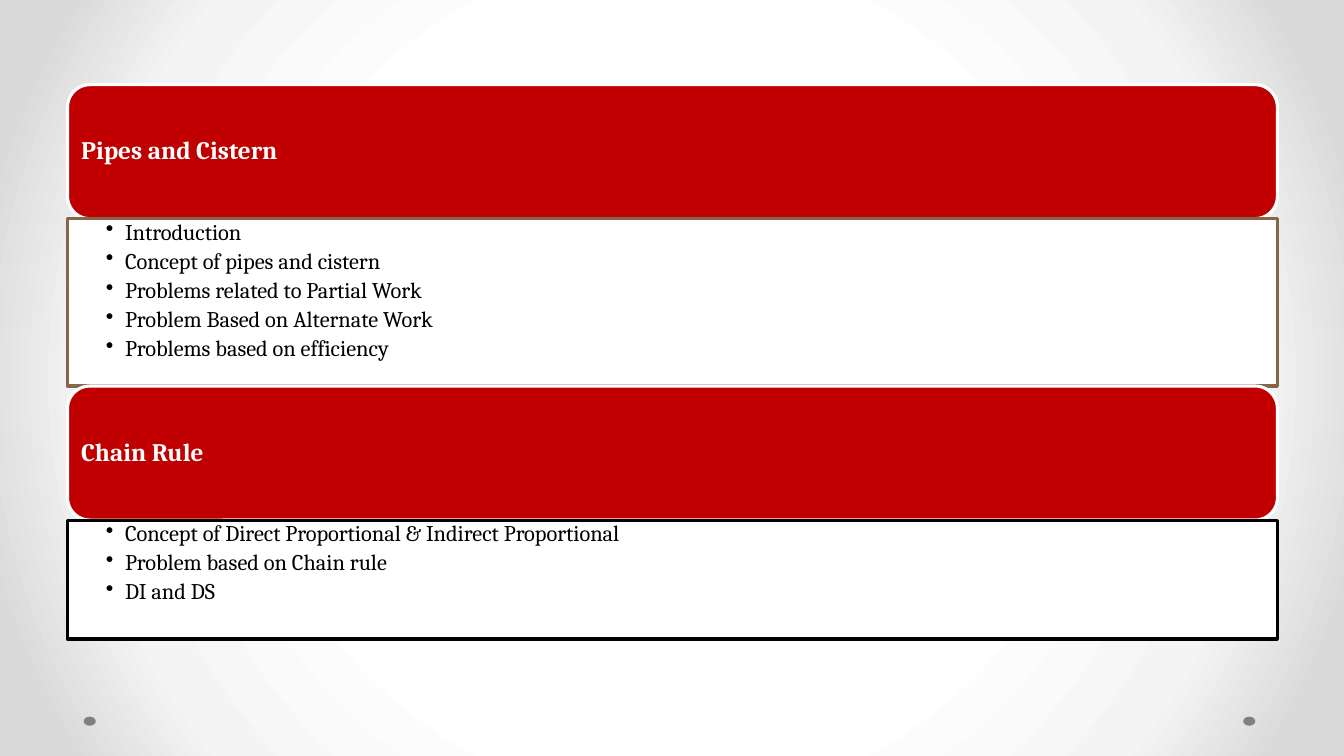
from lxml import etree
from pptx import Presentation
from pptx.dml.color import RGBColor
from pptx.enum.shapes import MSO_SHAPE
from pptx.enum.text import MSO_ANCHOR, PP_ALIGN
from pptx.oxml import parse_xml
from pptx.oxml.ns import nsdecls, qn
from pptx.util import Inches, Pt

RECT, ROUND, OVAL = MSO_SHAPE.RECTANGLE, MSO_SHAPE.ROUNDED_RECTANGLE, MSO_SHAPE.OVAL
TOP, MIDDLE = MSO_ANCHOR.TOP, MSO_ANCHOR.MIDDLE
LEFT, WIDTH, HEAD_H = 0.67, 12, 1.33

prs = Presentation()
prs.slide_width, prs.slide_height = Inches(13.33), Inches(7.5)
s = prs.slides.add_slide(prs.slide_layouts[6])


def add_box(kind, x, y, w, h, fill, line=None):
    sp = s.shapes.add_shape(kind, Inches(x), Inches(y), Inches(w), Inches(h))
    sp.shadow.inherit = False
    sp.fill.solid()
    sp.fill.fore_color.rgb = RGBColor.from_string(fill)
    if line:
        sp.line.color.rgb = RGBColor.from_string(line)
        sp.line.width = Pt(2.25)
    else:
        sp.line.fill.background()
    return sp


def add_text(sp, lines, size, color, insets, anchor=TOP, bold=False, bullet=None, after=0):
    tf = sp.text_frame
    tf.word_wrap = True
    tf.vertical_anchor = anchor
    tf.margin_left, tf.margin_top, tf.margin_right, tf.margin_bottom = map(Inches, insets)
    for i, text in enumerate(lines):
        p = tf.add_paragraph() if i else tf.paragraphs[0]
        p.alignment = PP_ALIGN.LEFT
        p.line_spacing = 0.9
        p.space_after = Pt(after)
        if bullet:
            pPr = p._p.get_or_add_pPr()
            pPr.set("marL", str(Inches(0.19)))
            pPr.set("indent", str(Inches(-0.19)))
            etree.SubElement(pPr, qn("a:buChar")).set("char", bullet)
        r = p.add_run()
        r.text = text
        r.font.name, r.font.size, r.font.bold = "Cambria", Pt(size), bold
        r.font.color.rgb = RGBColor.from_string(color)


# Background: radial gradient from white to grey
stops = "".join(
    f'<a:gs pos="{pos * 1000}"><a:srgbClr val="{color}"/></a:gs>'
    for pos, color in [(50, "FFFFFF"), (76, "F4F4F4"), (92, "DADADA")])
s.background.fill.solid()
bgPr = s._element.cSld.find(qn("p:bg")).find(qn("p:bgPr"))
bgPr.replace(bgPr[0], parse_xml(
    f'<a:gradFill {nsdecls("a")} rotWithShape="1"><a:gsLst>{stops}</a:gsLst>'
    '<a:path path="circle"><a:fillToRect l="50000" t="50000" r="50000" b="50000"/></a:path>'
    '</a:gradFill>'))

# Footer dots
for x in (12.33, 0.83):
    add_box(OVAL, x, 7.11, 0.12, 0.09, "808080")

# Topics: a red heading above a bulleted panel, stacked downwards
topics = [
    ("Pipes and Cistern", 1.66, "846648", [
        "Introduction",
        "Concept of pipes and cistern",
        "Problems related to Partial Work",
        "Problem Based on Alternate Work",
        "Problems based on efficiency"]),
    ("Chain Rule", 1.18, "000000", [
        "Concept of Direct Proportional & Indirect Proportional",
        "Problem based on Chain rule",
        "DI and DS"]),
]
y = 0.84
for heading, panel_h, border, items in topics:
    sp = add_box(ROUND, LEFT, y, WIDTH, HEAD_H, "C00000", "FFFFFF")
    add_text(sp, [heading], 18, "FFFFFF", [0.07] * 4, anchor=MIDDLE, bold=True)
    y += HEAD_H
    sp = add_box(RECT, LEFT, y, WIDTH, panel_h, "FFFFFF", border)
    add_text(sp, items, 16, "000000", (0.38, 0.02, 0.12, 0.02), bullet="•", after=3.6)
    y += panel_h

prs.save("out.pptx")
